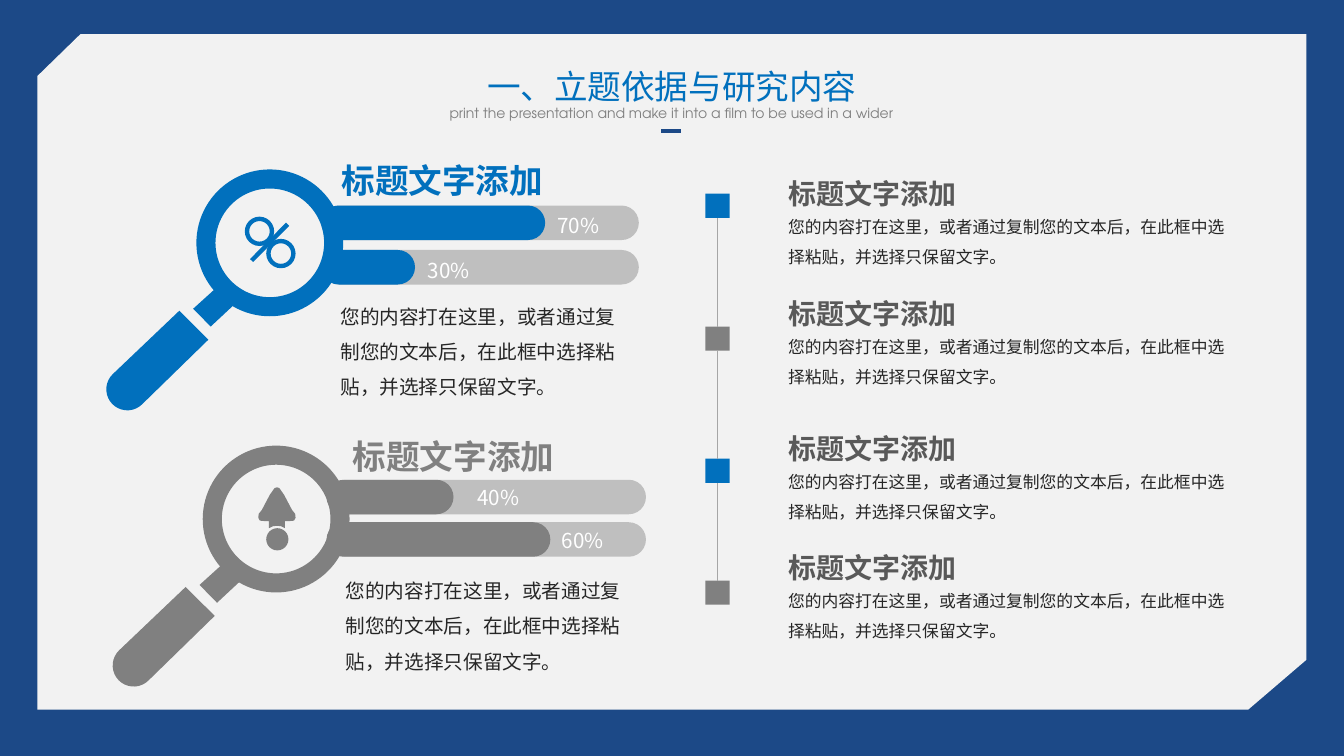
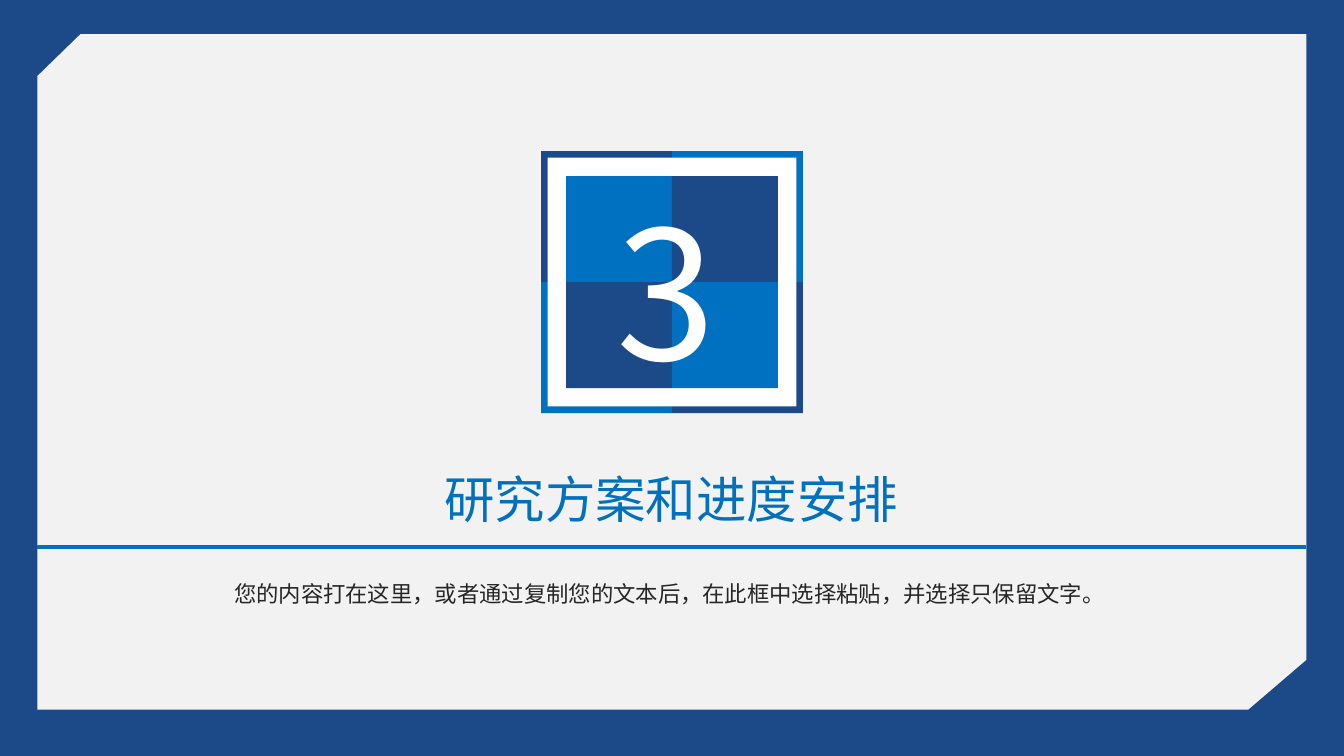
"""Builds a findings slide and a chapter opener in one blue framed style."""
from math import cos, radians, sin

from lxml.etree import SubElement
from pptx import Presentation
from pptx.dml.color import RGBColor
from pptx.enum.shapes import MSO_CONNECTOR, MSO_SHAPE
from pptx.enum.text import PP_ALIGN
from pptx.oxml.ns import qn
from pptx.util import Cm, Pt

NAVY = RGBColor(0x1C, 0x49, 0x87)
BLUE = RGBColor(0x01, 0x70, 0xBD)
BRIGHT = RGBColor(0x00, 0x70, 0xC0)
PAPER = RGBColor(0xF2, 0xF2, 0xF2)
WHITE = RGBColor(0xFF, 0xFF, 0xFF)
INK = RGBColor(0x26, 0x26, 0x26)
DARK = RGBColor(0x59, 0x59, 0x59)
GRAY = RGBColor(0x80, 0x80, 0x80)
RULE = RGBColor(0xA6, 0xA6, 0xA6)
TRACK = RGBColor(0xBF, 0xBF, 0xBF)

SANS = "Noto Sans CJK SC"
GEOMETRIC = "TeX Gyre Adventor"
WIDTH, HEIGHT = 33.87, 19.05
PANEL = [(2.03, 0.86), (32.92, 0.86), (32.92, 16.63),
         (31.46, 17.88), (0.94, 17.88), (0.94, 1.92)]
HEADING = "标题文字添加"
BODY = "您的内容打在这里，或者通过复制您的文本后，在此框中选择粘贴，并选择只保留文字。"


class Deck:
    """Holds the presentation style and the current slide."""

    def __init__(self):
        self.prs = Presentation()
        self.prs.slide_width, self.prs.slide_height = Cm(WIDTH), Cm(HEIGHT)
        fill = self.prs.slide_master.background.fill
        fill.solid()
        fill.fore_color.rgb = NAVY
        self.s = None

    def new_slide(self):
        self.s = self.prs.slides.add_slide(self.prs.slide_layouts[6])
        self.outline(PANEL, PAPER)

    def paint(self, sp, color):
        sp.shadow.inherit = False
        sp.fill.solid()
        sp.fill.fore_color.rgb = color
        sp.line.fill.background()
        return sp

    def shape(self, kind, x, y, w, h, color, adj=None):
        sp = self.s.shapes.add_shape(kind, Cm(x), Cm(y), Cm(w), Cm(h))
        if adj is not None:
            sp.adjustments[0] = adj
        return self.paint(sp, color)

    def square(self, x, y, size, color):
        return self.shape(MSO_SHAPE.RECTANGLE, x, y, size, size, color)

    def ring(self, x, y, size, band, color):
        return self.shape(MSO_SHAPE.DONUT, x, y, size, size, color, band)

    def outline(self, points, color):
        start, *rest = [(Cm(x), Cm(y)) for x, y in points]
        builder = self.s.shapes.build_freeform(*start, scale=1.0)
        builder.add_line_segments(rest, close=True)
        return self.paint(builder.convert_to_shape(), color)

    def line(self, x1, y1, x2, y2, color, width):
        sp = self.s.shapes.add_connector(
            MSO_CONNECTOR.STRAIGHT, Cm(x1), Cm(y1), Cm(x2), Cm(y2))
        sp.line.color.rgb = color
        sp.line.width = Pt(width)
        SubElement(sp._element.spPr, qn("a:effectLst"))

    def text(self, x, y, w, h, words, size, color, align=PP_ALIGN.LEFT,
             bold=False, font=SANS, leading=1.25, wrap=True):
        sp = self.s.shapes.add_textbox(Cm(x), Cm(y), Cm(w), Cm(h))
        tf = sp.text_frame
        tf.word_wrap = wrap
        p = tf.paragraphs[0]
        p.alignment = align
        p.line_spacing = Pt(round(size * leading, 1))
        r = p.add_run()
        r.text = words
        r.font.size = Pt(size)
        r.font.bold = bold
        r.font.color.rgb = color
        r.font.name = font
        SubElement(r.font._element, qn("a:ea"), typeface=font)

    def heading(self, x, y, w, h, size, color):
        self.text(x, y, w, h, HEADING, size, color, bold=True, wrap=False)

    def body(self, x, y, w, h, size, align=PP_ALIGN.LEFT):
        self.text(x, y, w, h, BODY, size, INK, align, leading=1.8)

    def title(self, words, subtitle):
        self.text(11.2, 1.5, 11.46, 1.27, words, 24, BLUE, PP_ALIGN.CENTER)
        self.text(10.97, 2.41, 11.89, 0.71, subtitle, 10, GRAY,
                  PP_ALIGN.CENTER, font=GEOMETRIC, leading=1.45)
        self.line(16.66, 3.3, 17.17, 3.3, NAVY, 3)

    def bar(self, track_x, x, y, length, color, words, label_x, label_y, label_w):
        for left, width, tone in ((track_x, 8, TRACK), (x, length, color)):
            self.shape(MSO_SHAPE.ROUNDED_RECTANGLE, left, y, width, 0.87, tone, 0.5)
        self.text(label_x, label_y, label_w, 1.02, words, 14.7, WHITE,
                  PP_ALIGN.CENTER, leading=1.45)

    def magnifier(self, x, y, color):
        neck = [(1.09, 3.28), (0.36, 3.96), (-0.08, 3.51), (0.66, 2.84)]
        cap = [(-1.74 + 0.53 * cos(radians(a)), 5.54 + 0.53 * sin(radians(a)))
               for a in range(226, 45, -10)]
        handle = [(-0.43, 3.56), *cap, (0.3, 4.29)]
        for part in (neck, handle):
            self.outline([(x + dx, y + dy) for dx, dy in part], color)
        self.ring(x, y, 3.7, 0.13, color)

    def percent_sign(self, color):
        for x, y in ((6.17, 5.46), (6.71, 6.02)):
            self.ring(x, y, 0.74, 0.15, color)
        self.outline([(7.29, 5.69), (6.38, 6.6), (6.3, 6.53), (7.21, 5.61)], color)

    def arrow_sign(self, color):
        middle = 6.98
        half = [(0, 12.28), (0.06, 12.3), (0.11, 12.37), (0.18, 12.47),
                (0.38, 12.85), (0.46, 12.95), (0.47, 13.05), (0.43, 13.12),
                (0.33, 13.13), (0.2, 13.13), (0.2, 13.31), (0.1, 13.26), (0, 13.25)]
        right = [(middle + dx, y) for dx, y in half]
        left = [(middle - dx, y) for dx, y in half[-2:0:-1]]
        self.outline(right + left, color)
        self.shape(MSO_SHAPE.OVAL, 6.71, 13.31, 0.56, 0.56, color)

    def tiles(self, cx, cy, size, first, second):
        for row in range(2):
            for col in range(2):
                self.square(cx + (col - 1) * size, cy + (row - 1) * size, size,
                            first if row == col else second)


def findings(deck):
    """Draws the two magnifier groups and the timeline."""
    deck.new_slide()
    deck.title("一、立题依据与研究内容",
               "print the presentation and make it into a film to be used in a wider")
    for bar in (
        (8.1, 8.1, 5.18, 5.64, BLUE, "70%", 13.67, 5.11, 1.8),
        (8.1, 8.1, 6.3, 2.36, BLUE, "30%", 10.41, 6.25, 1.8),
        (8.28, 8.23, 12.09, 3.2, GRAY, "40%", 11.35, 11.96, 2.41),
        (8.28, 8.23, 13.16, 5.64, GRAY, "60%", 13.79, 13.06, 1.8),
    ):
        deck.bar(*bar)
    deck.magnifier(4.95, 4.27, BLUE)
    deck.percent_sign(BLUE)
    deck.magnifier(5.11, 11.23, GRAY)
    deck.arrow_sign(GRAY)
    deck.heading(8.36, 3.86, 5.64, 1.27, 24, BLUE)
    deck.body(8.33, 7.26, 7.82, 2.84, 14)
    deck.heading(8.64, 10.82, 5.64, 1.27, 24, GRAY)
    deck.body(8.46, 14.17, 7.82, 2.84, 14)

    marker = 0.61
    markers = [4.88, 8.23, 11.56, 14.63]
    for i, (y, text_y) in enumerate(zip(markers, (4.29, 7.32, 10.72, 13.72))):
        deck.square(17.78, y, marker, GRAY if i % 2 else BLUE)
        deck.heading(19.61, text_y, 4.78, 1.12, 20, DARK)
        deck.body(19.61, text_y + 0.79, 11.63, 1.7, 12)
    for top, bottom in zip(markers, markers[1:]):
        deck.line(18.08, top + marker, 18.08, bottom, RULE, 0.5)


def chapter(deck):
    """Draws the chapter number, its name and a summary."""
    deck.new_slide()
    cx, cy, white = WIDTH / 2, 7.11, 6.27
    deck.tiles(cx, cy, 3.3, NAVY, BRIGHT)
    deck.square(cx - white / 2, cy - white / 2, white, WHITE)
    deck.tiles(cx, cy, 2.67, BRIGHT, NAVY)
    deck.text(15.29, 4.22, 3.2, 5.74, "3", 128, WHITE, wrap=False)
    deck.text(6.73, 11.61, 20.37, 1.8, "研究方案和进度安排", 36, BLUE, PP_ALIGN.CENTER)
    deck.line(0.92, 13.79, 32.92, 13.79, BRIGHT, 3)
    deck.body(5.16, 14.15, 23.44, 1.07, 16, PP_ALIGN.CENTER)


deck = Deck()
findings(deck)
chapter(deck)
deck.prs.save("out.pptx")
